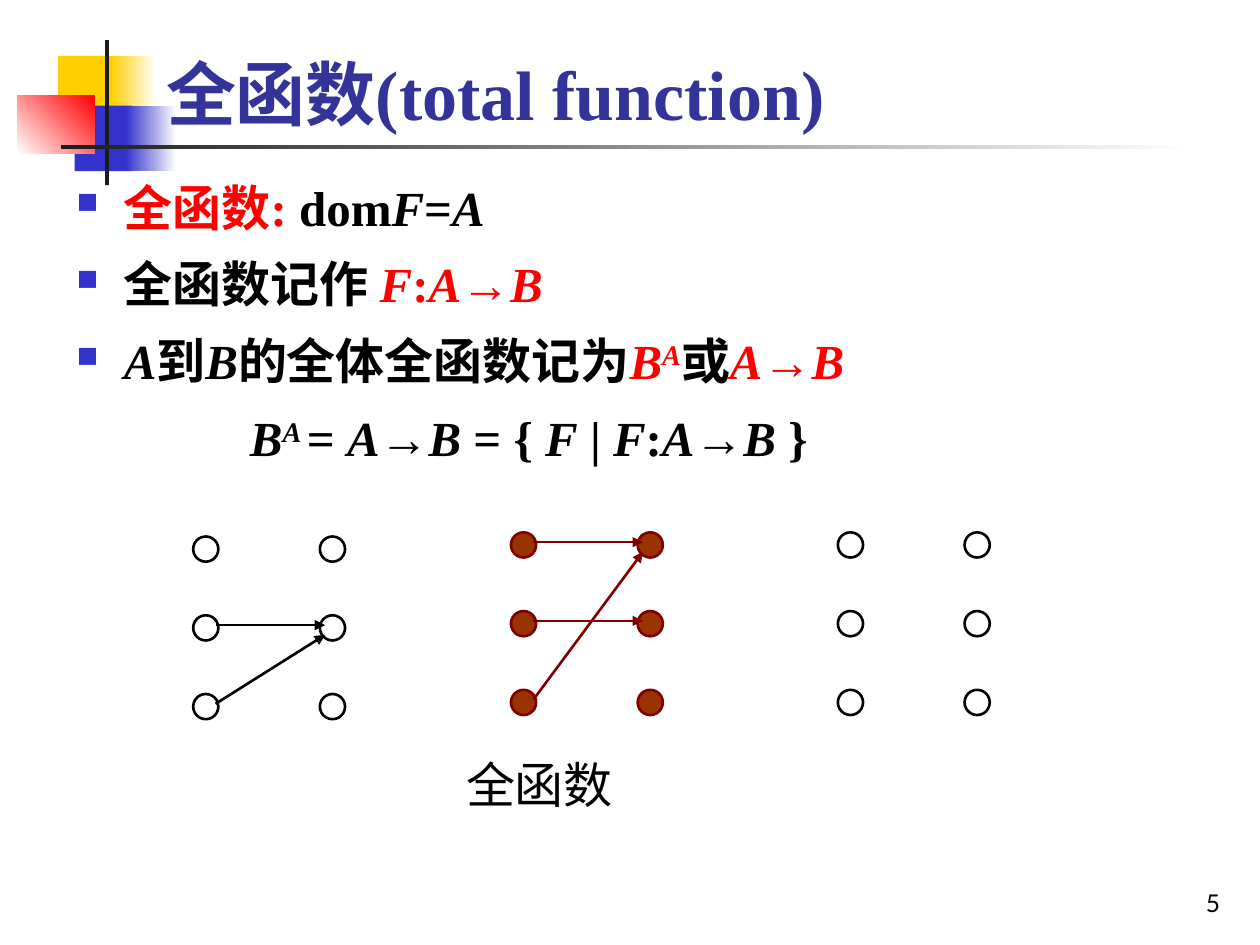
import pptx
import pptx.util
import pptx.dml.color
import pptx.enum.shapes
import pptx.enum.text
import pptx.oxml
import pptx.oxml.ns

Pt = pptx.util.Pt
SHAPE = pptx.enum.shapes.MSO_SHAPE
ALIGN = pptx.enum.text.PP_ALIGN
ANCHOR = pptx.enum.text.MSO_ANCHOR
HUES = {
    "black": "000000", "white": "FFFFFF", "red": "FF0000", "gold": "FFCF01",
    "blue": "3333CC", "navy": "333399", "ink": "1C1C1C",
    "rust": "993300", "wine": "800000",
}


def hue(name):
    return pptx.dml.color.RGBColor.from_string(HUES[name])


def add(parent, tag, **attrs):
    """Append a drawing element to its parent and return it."""
    node = pptx.oxml.parse_xml(f"<a:{tag} {pptx.oxml.ns.nsdecls('a')}/>")
    for key, value in attrs.items():
        node.set(key, value)
    parent.append(node)
    return node


class Deck:
    face = "Times New Roman"
    weight = 1.5

    def __init__(self, slide):
        self.slide = slide

    def shape(self, kind, box, fill=None, line=None, fade=None, angle=0):
        item = self.slide.shapes.add_shape(kind, *map(Pt, box))
        item.shadow.inherit = False
        if fade:
            item.fill.gradient()
            item.fill.gradient_angle = angle
            for stop, name in zip(item.fill.gradient_stops, (fill, fade)):
                stop.color.rgb = hue(name)
        elif fill:
            item.fill.solid()
            item.fill.fore_color.rgb = hue(fill)
        else:
            item.fill.background()
        if line:
            item.line.color.rgb = hue(line)
            item.line.width = Pt(self.weight)
        else:
            item.line.fill.background()

    def arrow(self, start, end, color):
        item = self.slide.shapes.add_connector(
            pptx.enum.shapes.MSO_CONNECTOR.STRAIGHT, *map(Pt, start + end))
        item.line.color.rgb = hue(color)
        item.line.width = Pt(self.weight)
        add(item.line._get_or_add_ln(), "tailEnd", type="triangle")
        add(item._element.spPr, "effectLst")

    def box(self, place, anchor=ANCHOR.TOP):
        frame = self.slide.shapes.add_textbox(*map(Pt, place)).text_frame
        frame.word_wrap = True
        frame.vertical_anchor = anchor
        return frame

    def run(self, para, text, size, color="black", bold=False, face=None):
        run = para.add_run()
        run.text = text
        run.font.name = face or self.face
        run.font.size = Pt(size)
        run.font.bold = bold
        run.font.color.rgb = hue(color)
        return run

    def bullet(self, para):
        props = para._p.get_or_add_pPr()
        props.set("marL", str(Pt(27)))
        props.set("indent", str(Pt(-27)))
        add(add(props, "buClr"), "srgbClr", val=HUES["blue"])
        add(props, "buSzPct", val="60000")
        add(props, "buChar", char="■")

    def body(self, place, lines):
        """Flags of a run: r is red, i is italic, s is superscript."""
        frame = self.box(place)
        for row, (mark, runs) in enumerate(lines):
            para = frame.paragraphs[0] if row == 0 else frame.add_paragraph()
            if mark:
                self.bullet(para)
            else:
                para._p.get_or_add_pPr().set("marL", str(Pt(99)))
            para.line_spacing = 1.1
            para.space_before = Pt(7 if row else 0)
            for text, flags in runs:
                color = "red" if "r" in flags else "black"
                run = self.run(para, text, 28, color, True)
                run.font.italic = "i" in flags
                if "s" in flags:
                    run._r.get_or_add_rPr().set("baseline", "30000")

    def graph(self, left, top, pairs=(), fill=None, line="black"):
        """Two columns of three nodes, with arrows from row to row."""
        size, wide, step = 14.4, 72.4, 45
        for col in range(2):
            for row in range(3):
                spot = (left + col * wide, top + row * step, size, size)
                self.shape(SHAPE.OVAL, spot, fill, line)
        for tail, head in pairs:
            drop = 5.6 if tail == head else 11.2
            self.arrow((left + 12.8, top + tail * step + 5.6),
                       (left + 75.4, top + head * step + drop), line)


def main():
    show = pptx.Presentation()
    show.slide_width, show.slide_height = Pt(720), Pt(540)
    deck = Deck(show.slides.add_slide(show.slide_layouts[6]))

    # Corner ornament and title rule
    for box, fill, fade, angle in (
        ((33.1, 31.9, 34.6, 37.4), "gold", None, 0),
        ((63.4, 31.9, 25.9, 37.4), "gold", "white", 0),
        ((42.6, 60.4, 33.1, 37.4), "blue", None, 0),
        ((72, 60.4, 28.8, 37.4), "blue", "white", 0),
        ((9.8, 54.5, 44.2, 33.4), "white", "red", 45),
        ((60, 23, 2.3, 82.8), "ink", None, 0),
        ((34.8, 82.8, 648, 2.3), "ink", "white", 0),
    ):
        deck.shape(SHAPE.RECTANGLE, box, fill, fade=fade, angle=angle)

    # Page number
    para = deck.box((554.4, 491.8, 149.8, 36), ANCHOR.BOTTOM).paragraphs[0]
    para.alignment = ALIGN.RIGHT
    deck.run(para, "5", 14, face="Lato")

    # Title
    para = deck.box((87.8, 20.2, 613.4, 60.5), ANCHOR.BOTTOM).paragraphs[0]
    deck.run(para, "全函数(total function)", 40, "navy", True)

    # Definitions
    deck.body((36.7, 94.3, 657.4, 391), (
        (True, (("全函数:", "r"), (" dom", ""), ("F", "i"), ("=", ""),
                ("A", "i"))),
        (True, (("全函数记作 ", ""), ("F", "ri"), (":", "r"), ("A", "ri"),
                ("→", "r"), ("B", "ri"))),
        (True, (("A", "i"), ("到", ""), ("B", "i"), ("的全体全函数记为", ""),
                ("B", "ri"), ("A", "ris"), ("或", ""), ("A", "ri"),
                ("→", "r"), ("B", "ri"))),
        (False, (("B", "i"), ("A ", "is"), ("= ", ""), ("A", "i"), ("→", ""),
                 ("B", "i"), (" = { ", ""), ("F", "i"), (" | ", ""),
                 ("F", "i"), (":", ""), ("A", "i"), ("→", ""), ("B", "i"),
                 (" }", ""))),
    ))

    # Mapping diagrams
    deck.graph(110.4, 306.6, ((1, 1), (2, 1)))
    deck.graph(478.8, 304.2)
    deck.graph(292, 304.2, ((1, 1), (2, 0), (0, 0)), "rust", "wine")

    # Caption
    para = deck.box((259.2, 424.1, 151.9, 44.6)).paragraphs[0]
    para.line_spacing = 1.1
    deck.run(para, "全函数", 28)

    show.save("out.pptx")


if __name__ == "__main__":
    main()
